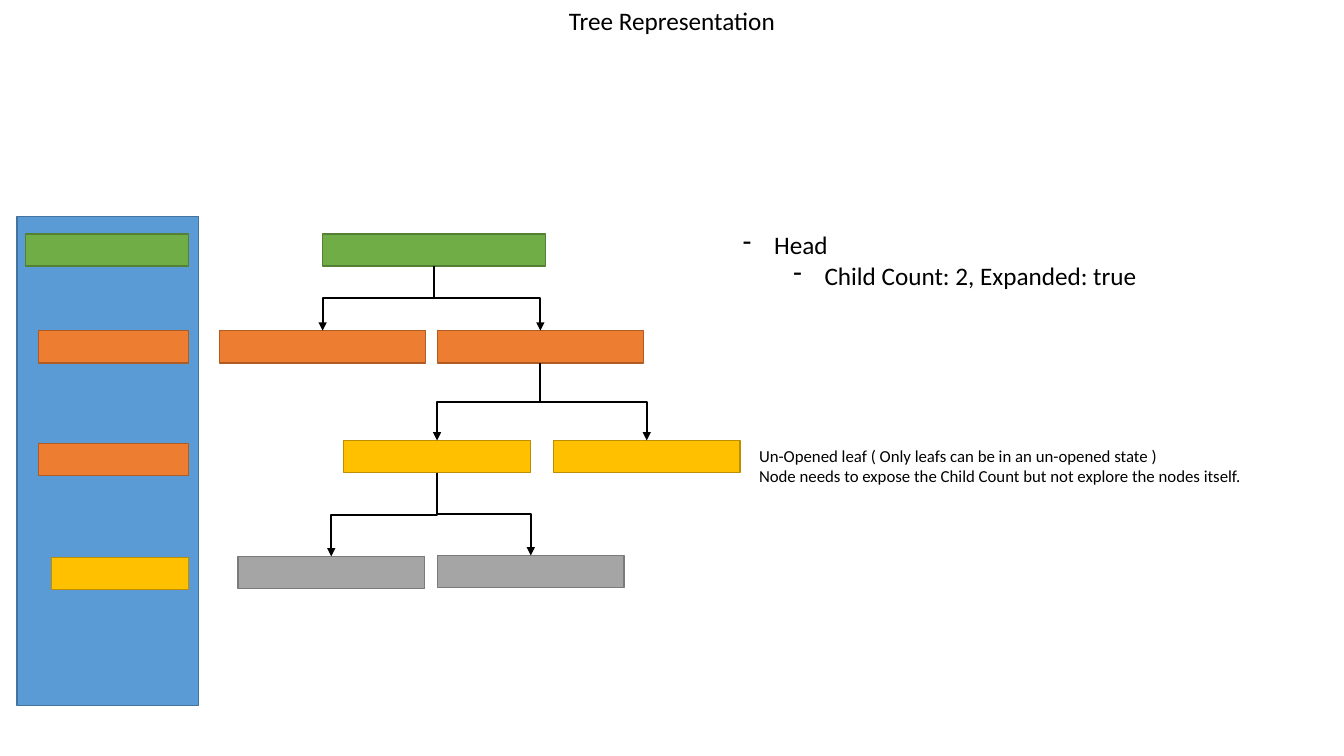
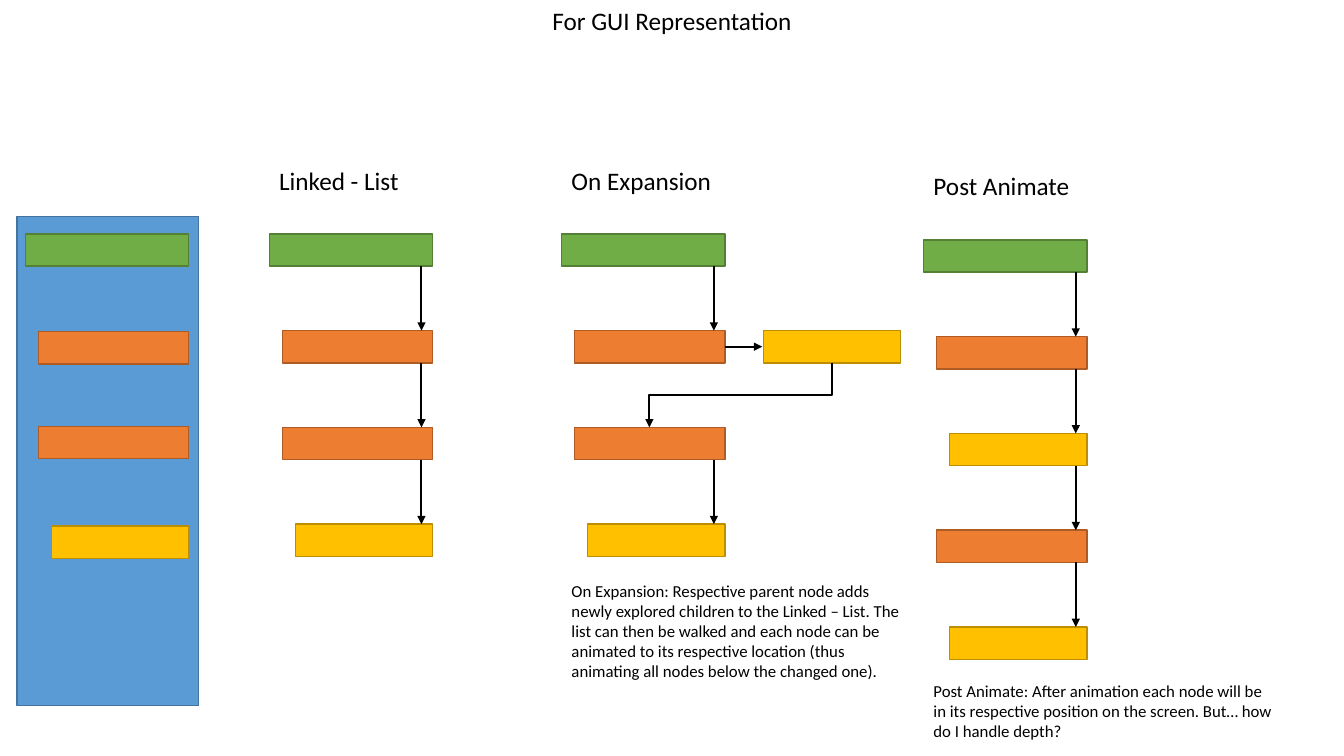
from lxml import etree
from pptx import Presentation
from pptx import util as u
from pptx.dml.color import RGBColor
from pptx.enum import shapes, text
from pptx.oxml.ns import qn

BLACK = RGBColor(0x00, 0x00, 0x00)
BLUE = RGBColor(0x5B, 0x9B, 0xD5), RGBColor(0x43, 0x73, 0x9E)
GREEN = RGBColor(0x70, 0xAD, 0x47), RGBColor(0x53, 0x80, 0x35)
ORANGE = RGBColor(0xED, 0x7D, 0x31), RGBColor(0xAF, 0x5C, 0x24)
GOLD = RGBColor(0xFF, 0xC0, 0x00), RGBColor(0xBD, 0x8E, 0x00)
GRAY = RGBColor(0xA5, 0xA5, 0xA5), RGBColor(0x7A, 0x7A, 0x7A)
DEPTH_COLORS = GREEN, ORANGE, GOLD, GRAY

prs = Presentation()
prs.slide_width, prs.slide_height = u.Inches(13.33), u.Inches(7.5)
COLS, ROWS = 133.3, 75
COL, ROW = prs.slide_width / COLS, prs.slide_height / ROWS
NODE_H, NODE_W, INDENT, PITCH = 3.2, 16.2, 1.3, 9.6


def add_box(s, colors, x, y, w, h=NODE_H):
    sp = s.shapes.add_shape(shapes.MSO_SHAPE.RECTANGLE, int(x * COL), int(y * ROW),
                            int(w * COL), int(h * ROW))
    sp.shadow.inherit = False
    sp.fill.solid()
    sp.fill.fore_color.rgb, sp.line.color.rgb = colors
    sp.line.width = u.Pt(1)


def add_arrow(s, x1, y1, x2, y2):
    x1, x2, y1, y2 = x1 * COL, x2 * COL, y1 * ROW, y2 * ROW
    bent = x1 != x2 and y1 != y2
    kind = shapes.MSO_CONNECTOR.STRAIGHT
    ends = x1, y1, x2, y2
    if bent:
        kind = shapes.MSO_CONNECTOR.ELBOW
        cx, cy = (x1 + x2) / 2, (y1 + y2) / 2
        half_w, half_h = (y2 - y1) / 2, abs(x2 - x1) / 2
        if x2 > x1:
            half_w = -half_w
        ends = cx - half_w, cy - half_h, cx + half_w, cy + half_h
    c = s.shapes.add_connector(kind, *map(int, ends))
    c.line.color.rgb = BLACK
    c.line.width = u.Pt(1.5)
    props = c._element.spPr
    if bent:
        props.find(qn("a:xfrm")).set("rot", str((270 if x2 > x1 else 90) * 60000))
    etree.SubElement(props.find(qn("a:ln")), qn("a:tailEnd"), type="triangle")
    etree.SubElement(props, qn("a:effectLst"))


tree, gui = [prs.slides.add_slide(prs.slide_layouts[6]) for _ in range(2)]

for s in (tree, gui):
    add_box(s, BLUE, 1.7, 21.5, 18, 48.5)

stacks = [
    (tree, 2.5, [23.2, 32.8, 44, 55.3], [0, 1, 1, 2], []),
    (gui, 2.5, [23.2, 32.9, 42.3, 52.2], [0, 1, 1, 2], []),
    (gui, 26.7, [23.2 + PITCH * i for i in range(4)], [0, 1, 1, 2], [0, 1, 2]),
    (gui, 55.7, [23.2 + PITCH * i for i in range(4)], [0, 1, 1, 2], [0, 2]),
    (gui, 91.6, [23.8 + PITCH * i for i in range(5)], [0, 1, 2, 1, 2], [0, 1, 2, 3]),
]
for s, x, tops, depths, linked in stacks:
    for y, depth in zip(tops, depths):
        indent = INDENT * depth
        add_box(s, DEPTH_COLORS[depth], x + indent, y, NODE_W - indent)
    for i in linked:
        link_x = x + NODE_W - 1.1
        add_arrow(s, link_x, tops[i] + NODE_H, link_x, tops[i + 1])

add_box(gui, GOLD, 75.7, 32.8, 13.6)
add_arrow(gui, 71.9, 34.4, 75.6, 34.4)
add_arrow(gui, 82.5, 36, 64.4, 42.4)

nodes = [
    (None, 0, 32, 23.2, 22.1),
    (0, 1, 21.8, 32.8, 20.4),
    (0, 1, 43.4, 32.8, 20.4),
    (2, 2, 34.1, 43.7, 18.5),
    (2, 2, 54.9, 43.7, 18.5),
    (3, 3, 23.6, 55.2, 18.5),
    (3, 3, 43.4, 55.1, 18.5),
]
for parent, depth, x, y, w in nodes:
    add_box(tree, DEPTH_COLORS[depth], x, y, w)
    if parent is not None:
        _, _, px, py, pw = nodes[parent]
        add_arrow(tree, px + pw / 2, py + NODE_H, x + w / 2, y)

labels = [
    (tree, 0, 0, COLS, 4, 18, True, ["Tree Representation"]),
    (tree, 72.7, 22.3, 41.6, 7.1, 18, False, ["Head", "Child Count: 2, Expanded: true"]),
    (tree, 74.3, 43.7, 50.3, 7.1, 12, False,
     ["Un-Opened leaf ( Only leafs can be in an un-opened state )",
      "Node needs to expose the Child Count but not explore the nodes itself."]),
    (gui, 0, 0, COLS, 4, 18, True, ["For GUI Representation"]),
    (gui, 26.7, 15.9, 14, 4, 18, False, ["Linked - List"]),
    (gui, 55.7, 15.9, 16.6, 4, 18, False, ["On Expansion"]),
    (gui, 91.6, 16.4, 16.2, 4, 18, False, ["Post Animate"]),
    (gui, 55.7, 57.1, 35.7, 11.1, 12, True,
     ["On Expansion: Respective parent node adds newly explored children to the "
      "Linked – List. The list can then be walked and each node can be animated to its "
      "respective location (thus animating all nodes below the changed one)."]),
    (gui, 91.6, 67, 35.7, 7.1, 12, True,
     ["Post Animate: After animation each node will be in its respective position on "
      "the screen. But… how do I handle depth?"]),
]
for s, x, y, w, h, size, wrap, lines in labels:
    tf = s.shapes.add_textbox(int(x * COL), int(y * ROW), int(w * COL), int(h * ROW)).text_frame
    tf.word_wrap = wrap
    tf.auto_size = text.MSO_AUTO_SIZE.SHAPE_TO_FIT_TEXT
    tf.text = "\n".join(lines)
    for level, p in enumerate(tf.paragraphs):
        p.font.name, p.font.size = "Calibri", u.Pt(size)
        p.font.color.rgb = BLACK
        if w == COLS:
            p.alignment = text.PP_ALIGN.CENTER
        if lines[0] == "Head":
            p.level = level
            pPr = p._p.get_or_add_pPr()
            pPr.set("marL", str(u.Inches(0.31 + 0.5 * level)))
            pPr.set("indent", str(u.Inches(-0.31)))
            bullet = etree.Element(qn("a:buChar"), char="-")
            pPr.insert(0, bullet)

prs.save("out.pptx")
